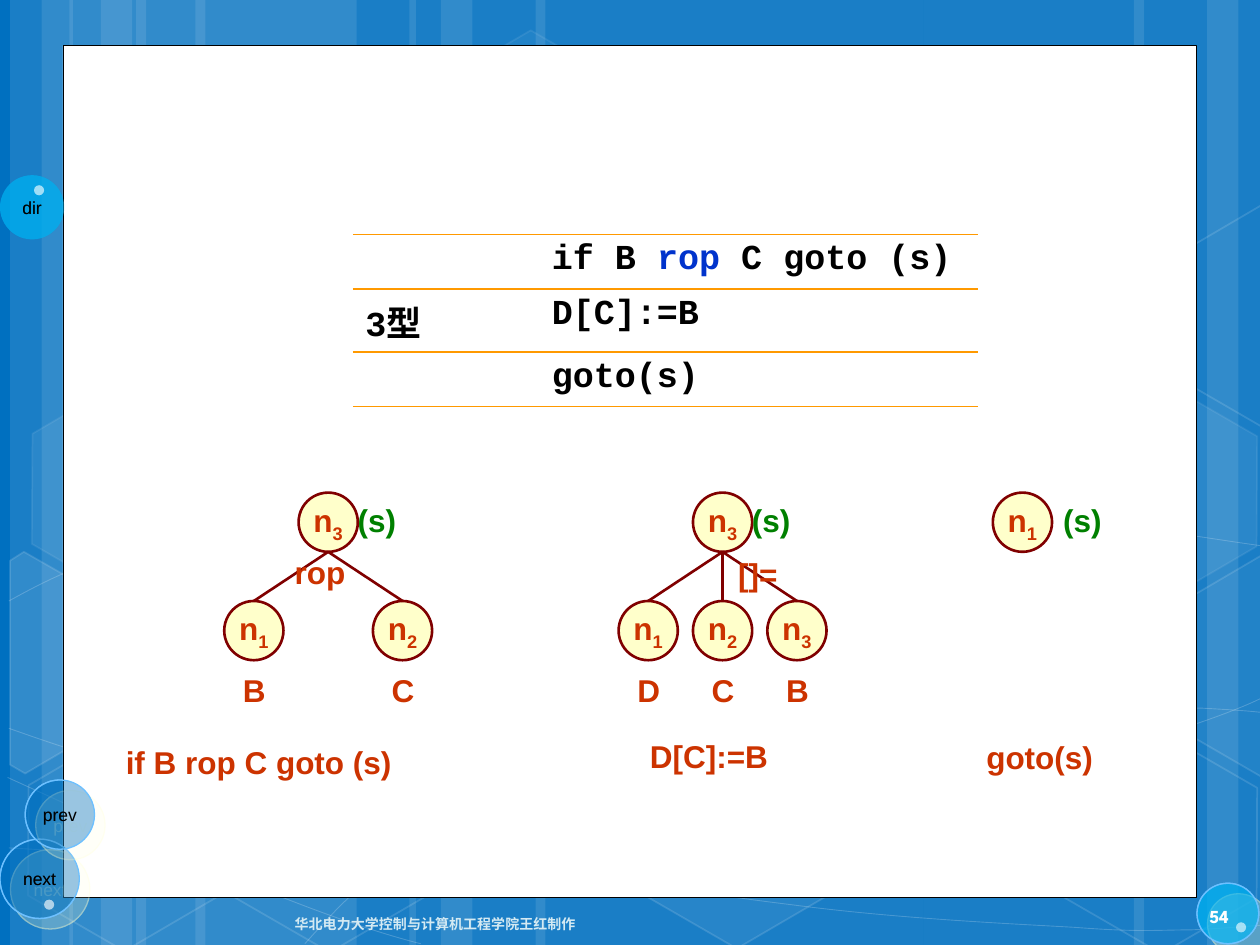
from lxml.etree import SubElement
from pptx import Presentation
from pptx.dml.color import RGBColor
from pptx.enum.shapes import MSO_CONNECTOR as Connector, MSO_SHAPE as Shape
from pptx.enum.text import MSO_ANCHOR as Anchor, PP_ALIGN as Align
from pptx.oxml.ns import qn
from pptx.util import Inches, Pt

RED, GREEN, MAROON, ORANGE, WHITE = "CC3300", "008000", "800000", "FF9900", "FFFFFF"
CJK = "Noto Sans CJK SC"

STRIPES = [  # left, width
    (1.08, 1.75), (0.08, 0.5), (0.33, 0.83), (1.55, 1.75), (0.55, 0.5), (0.8, 0.83),
    (7.33, 1.75), (9.58, 0.5), (9, 0.83), (4.25, 3.08), (3.25, 0.5), (3.5, 0.83)]
CURVES = [  # start, then two controls and an end for each Bézier segment
    [(0.07, 6.73), (0.61, 6.76), (1.15, 6.79), (1.9, 6.78), (2.65, 6.77), (3.58, 6.75), (4.58, 6.65),
     (5.58, 6.55), (7, 6.36), (7.92, 6.17), (8.83, 5.98), (9.77, 5.68), (10.07, 5.51)],
    [(0.07, 4.77), (0.36, 4.61), (0.65, 4.46), (1.21, 4.31), (1.78, 4.16), (2.59, 3.94), (3.47, 3.87),
     (4.36, 3.8), (5.44, 3.79), (6.54, 3.87), (7.64, 3.95), (9.47, 4.26), (10.07, 4.34)],
    [(0.06, 6.17), (1.27, 6.72), (2.47, 7.27), (3.34, 7.49)],
    [(0.07, 5.78), (0.38, 5.89), (0.7, 6), (1.28, 6.16), (1.86, 6.31), (2.73, 6.56), (3.57, 6.73),
     (4.4, 6.9), (5.45, 7.08), (6.28, 7.18), (7.11, 7.29), (8, 7.33), (8.53, 7.36),
     (9.05, 7.4), (9.19, 7.38), (9.45, 7.38), (9.71, 7.37), (9.89, 7.35), (10.07, 7.34)],
    [(2.42, 7.49), (2.6, 7.29), (2.78, 7.09), (3.02, 6.91), (3.26, 6.73), (3.6, 6.53), (3.88, 6.39),
     (4.16, 6.25), (4.33, 6.19), (4.7, 6.09), (5.06, 5.99), (5.73, 5.85), (6.08, 5.78),
     (6.44, 5.71), (6.49, 5.71), (6.8, 5.69), (7.11, 5.66), (7.6, 5.63), (7.94, 5.62),
     (8.29, 5.61), (8.86, 5.62), (8.86, 5.62), (8.86, 5.62), (9.53, 5.62), (9.53, 5.62),
     (9.71, 5.63), (9.88, 5.64), (9.97, 5.65), (10.06, 5.66), (10.03, 5.65), (10.06, 5.66)]]
HEXAGONS = [  # left, top, fill opacity, line opacity
    (3.34, 0.36, 4, 8), (4.97, 5.89, 6, 12), (0.11, 5.91, 0, 12), (0.14, 3.12, 7, 8), (1.74, 5.92, 0, 12),
    (7.53, 4.53, 10, 12), (8.34, 5.93, 0, 12), (8.34, 3.14, 7, 8)]
CUT_HEXAGONS = [  # fill opacity, corners
    (10, [(0.08, 4.45), (0.19, 4.38), (0.96, 4.82), (0.95, 5.7), (0.2, 6.14), (0.08, 6.07)]),
    (4, [(9.26, 4.85), (10.01, 4.41), (10.09, 4.46), (10.09, 6.13), (10.02, 6.17), (9.26, 5.73)]),
    (0, [(9.26, 2.07), (10.01, 1.63), (10.1, 1.68), (10.09, 3.35), (10.02, 3.39), (9.26, 2.95)])]
BUTTONS = [  # label, box, colour, opacity, outlined
    ("", (9.5, 7.01, 0.49, 0.48), "00B0F0", 50, True),
    ("dir", (0, 1.39, 0.51, 0.51), "00B0F0", 50, False),
    ("next", (0, 6.66, 0.63, 0.63), "0070C0", 40, True),
    ("prev", (0.2, 6.19, 0.55, 0.55), "0070C0", 40, True)]
GLINTS = [(0.35, 7.14), (0.27, 1.47), (9.81, 7.32)]

ROWS = [  # height, heading, statement
    (0.43, "", [("if B ", "000000"), ("rop", "0033CC"), (" C goto (s)", "000000")]),
    (0.5, "3型", "D[C]:=B"),
    (0.43, "", "goto(s)")]
TREES = [  # root left, root index, gap to (s), operator and its place, children (step, index, operand)
    dict(left=2.37, root="3", gap=0.37, operator=("rop", 2.24, 4.34, 0.7),
         children=[(-1, "1", "B"), (1, "2", "C")]),
    dict(left=5.5, root="3", gap=0.37, operator=("[]=", 5.76, 4.36, 0.65),
         children=[(-1, "1", "D"), (0, "2", "C"), (1, "3", "B")]),
    dict(left=7.88, root="1", gap=0.46, operator=None, children=[])]
CAPTIONS = [("if B rop C goto (s)", 0.9, 5.85, 3.37), ("D[C]:=B", 5.06, 5.8, 1.37),
            ("goto(s)", 7.73, 5.81, 1.37)]
NODE, STEP, ROOT_TOP, CHILD_TOP, OPERAND_TOP = 0.47, 0.59, 3.91, 4.77, 5.28

prs = Presentation()
prs.slide_width, prs.slide_height = Inches(10), Inches(7.5)
slide = prs.slides.add_slide(prs.slide_layouts[6])
shapes = slide.shapes


def paint(fill, color, opacity=100):
    if not opacity:
        fill.background()
        return
    fill.solid()
    fill.fore_color.rgb = RGBColor.from_string(color)
    if opacity < 100:
        hue = fill._xPr.find(qn("a:solidFill"))[0]
        SubElement(hue, qn("a:alpha"), val=str(opacity * 1000))


def style(shape, fill=WHITE, opacity=100, line=WHITE, width=1, line_opacity=0):
    shape.shadow.inherit = False
    paint(shape.fill, fill, opacity)
    paint(shape.line.fill, line, line_opacity)
    if line_opacity:
        shape.line.width = Pt(width)


def add(preset, box, **look):
    shape = shapes.add_shape(preset, *map(Inches, box))
    style(shape, **look)
    return shape


def outline(points, close, **look):
    builder = shapes.build_freeform(*map(Inches, points[0]), scale=1.0)
    builder.add_line_segments([(Inches(x), Inches(y)) for x, y in points[1:]], close=close)
    shape = builder.convert_to_shape()
    style(shape, **look)
    return shape


def bend(shape):
    """Turn every three line segments of a freeform into one cubic Bézier segment."""
    route = next(shape._element.iter(qn("a:moveTo"))).getparent()
    lines = route.findall(qn("a:lnTo"))
    for i in range(0, len(lines), 3):
        segment = SubElement(route, qn("a:cubicBezTo"))
        for line in lines[i:i + 3]:
            segment.append(line[0])
            route.remove(line)


def write(frame, text, size=18, color=RED, font="Arial", bold=True, align=Align.CENTER,
          anchor=Anchor.MIDDLE, wrap=False, sub=""):
    """Write a string, or (text, colour) runs, with an optional subscript."""
    frame.word_wrap, frame.vertical_anchor = wrap, anchor
    paragraph = frame.paragraphs[0]
    paragraph.alignment = align
    runs = [(text, color)] if isinstance(text, str) else text
    for words, hue in runs + ([(sub, color)] if sub else []):
        run = paragraph.add_run()
        run.text = words
        run.font.size, run.font.name, run.font.bold = Pt(size), font, bold
        run.font.color.rgb = RGBColor.from_string(hue)
        SubElement(run.font._element, qn("a:ea"), typeface=CJK)
    if sub:
        run.font._element.set("baseline", "-25000")


def label(text, left, top, width, height=0.43, **form):
    frame = shapes.add_textbox(*map(Inches, (left, top, width, height))).text_frame
    write(frame, text, **{"anchor": Anchor.TOP, "align": Align.LEFT, "wrap": True, **form})


def node(index, left, top):
    circle = add(Shape.OVAL, (left, top, NODE, NODE), fill="FFFF99", opacity=50,
                 line=MAROON, width=1.5, line_opacity=100)
    write(circle.text_frame, "n", sub=index)
    return circle


def branch(parent, child):
    line = shapes.add_connector(Connector.STRAIGHT, parent.left + parent.width // 2,
                                parent.top + parent.height, child.left, child.top)
    line.end_connect(child, 0)
    paint(line.line.fill, MAROON)
    line.line.width = Pt(1.5)
    SubElement(line._element.spPr, qn("a:effectLst"))


def buttons():
    for text, box, color, opacity, outlined in BUTTONS:
        button = add(Shape.OVAL, box, fill=color, opacity=opacity, line="6DC0FF", width=0.75,
                     line_opacity=100 * outlined)
        if outlined:
            effects = button._element.spPr.find(qn("a:effectLst"))
            shadow = SubElement(effects, qn("a:outerShdw"), dist=str(Pt(8.5)), dir="2700000")
            hue = SubElement(shadow, qn("a:srgbClr"), val="FFFFCC")
            SubElement(hue, qn("a:alpha"), val="30000")
        if text:
            write(button.text_frame, text, size=10, color="000000", bold=False)
    for left, top in GLINTS:
        add(Shape.OVAL, (left, top, 0.08, 0.08), opacity=50)


paint(slide.background.fill, "0070C0")
for left, width in STRIPES:
    add(Shape.RECTANGLE, (left, 0, width, 7.5), opacity=10)
for curve in CURVES:
    bend(outline(curve, False, opacity=0, width=0.5, line_opacity=20))
for left, top, opacity, line_opacity in HEXAGONS:
    hexagon = add(Shape.HEXAGON, (left, top, 1.75, 1.52), opacity=opacity, line_opacity=line_opacity)
    hexagon.adjustments[0] = 0.285
    hexagon.rotation = 30
for opacity, corners in CUT_HEXAGONS:
    outline(corners, True, opacity=opacity, line_opacity=12)
buttons()
add(Shape.RECTANGLE, (0.5, 0.36, 9, 6.76), line="000000", width=0.5, line_opacity=100)
buttons()
label("华北电力大学控制与计算机工程学院王红制作", 0.95, 7.13, 3.72, 0.4, size=8, color="D4EAF3",
      font=CJK, align=Align.RIGHT, anchor=Anchor.MIDDLE)
label("54", 9.5, 7.07, 0.47, 0.4, size=10.5, color="FEFEFE", font="League Spartan", anchor=Anchor.MIDDLE)

table = shapes.add_table(3, 2, *map(Inches, (2.8, 1.86, 4.96, 1.36))).table
table.first_row = table.horz_banding = False
for column, width in zip(table.columns, (1.48, 3.48)):
    column.width = Inches(width)
for row, (height, *texts) in zip(table.rows, ROWS):
    row.height = Inches(height)
    for cell, text in zip(row.cells, texts):
        if text:
            write(cell.text_frame, text, size=20, color="000000", font="Courier New", align=Align.LEFT,
                  anchor=Anchor.TOP, wrap=True)
        props = cell._tc.get_or_add_tcPr()
        for side in ("lnL", "lnR", "lnT", "lnB"):
            border = SubElement(props, qn("a:" + side), w=str(Pt(1)))
            if side in ("lnT", "lnB"):
                SubElement(SubElement(border, qn("a:solidFill")), qn("a:srgbClr"), val=ORANGE)
            else:
                SubElement(border, qn("a:noFill"))
        cell.fill.background()

for tree in TREES:
    left = tree["left"]
    root = node(tree["root"], left, ROOT_TOP)
    label("(s)", left + tree["gap"], 3.93, 0.7, color=GREEN)
    for step, index, operand in tree["children"]:
        child_left = left + step * STEP
        branch(root, node(index, child_left, CHILD_TOP))
        label(operand, child_left + 0.05, OPERAND_TOP, 0.37)
    if tree["operator"]:
        label(*tree["operator"])
for caption in CAPTIONS:
    label(*caption)

prs.save("out.pptx")
